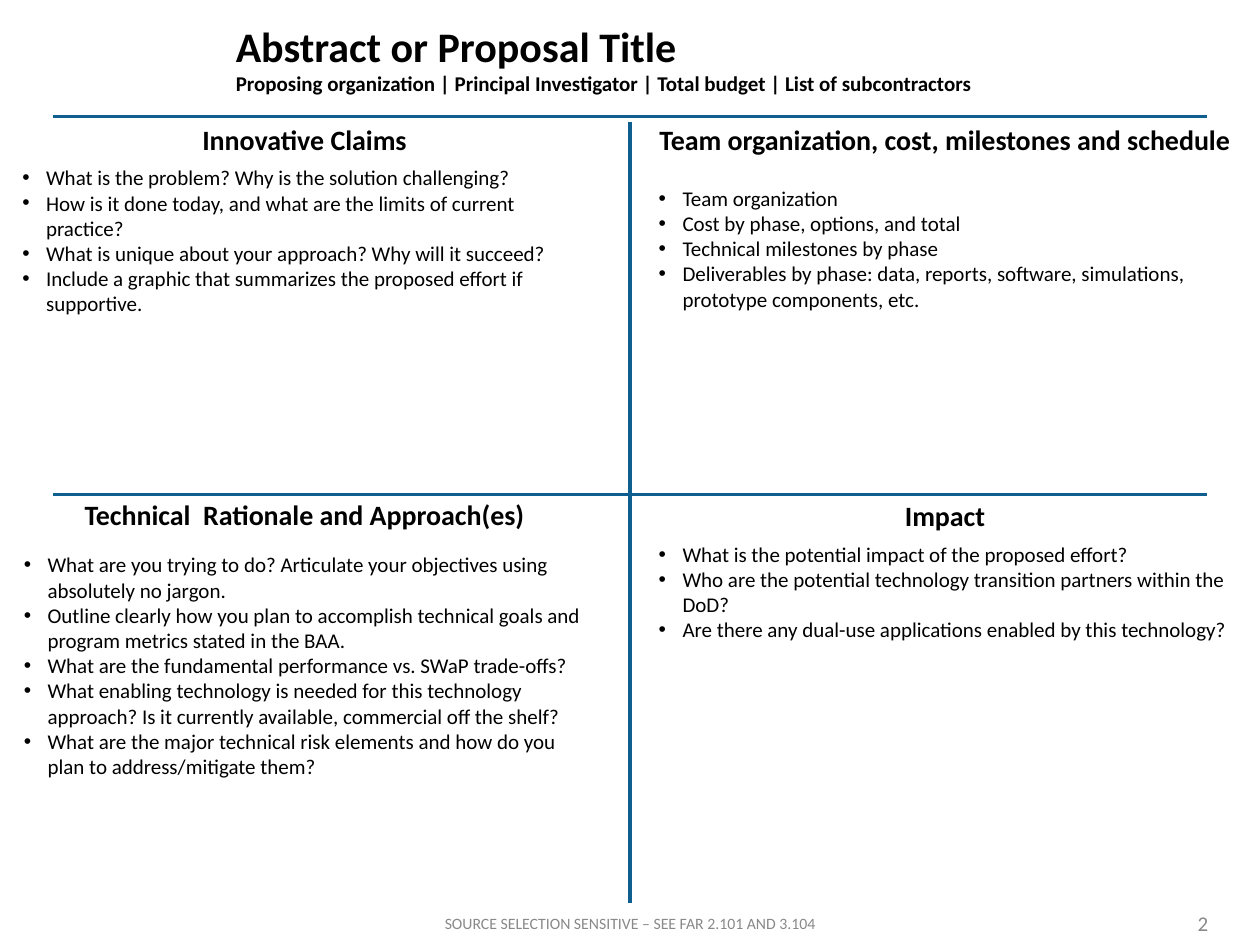
from lxml.etree import SubElement
from pptx import Presentation
from pptx.dml.color import RGBColor
from pptx.enum.shapes import MSO_CONNECTOR
from pptx.enum.text import MSO_ANCHOR as ANCHOR, PP_ALIGN as ALIGN
from pptx.oxml.ns import qn
from pptx.util import Cm, Pt

FONT = "Calibri"
BLACK, GRAY, BLUE = "000000", "898989", "0F5E90"

QUADRANTS = [
    ("Innovative Claims", (0, 2.34, 12.28), 9.32, (0.2, 0.86, 3.81), [
        "What is the problem? Why is the solution challenging?",
        "How is it done today, and what are the limits of current practice?",
        "What is unique about your approach? Why will it succeed?",
        "Include a graphic that summarizes the proposed effort if supportive.",
    ]),
    ("Team organization, cost, milestones and schedule",
     (12.7, 2.34, 12.7), 14.83, (0.33, 1.27, 3.33), [
         "Team organization",
         "Cost by phase, options, and total",
         "Technical milestones by phase",
         "Deliverables by phase: data, reports, software, simulations, "
         "prototype components, etc.",
     ]),
    ("Technical  Rationale and Approach(es)",
     (0, 9.91, 12.28), 11.43, (0.23, 1.09, 4.88), [
         "What are you trying to do? Articulate your objectives using "
         "absolutely no jargon.",
         "Outline clearly how you plan to accomplish technical goals and "
         "program metrics stated in the BAA.",
         "What are the fundamental performance vs. SWaP trade-offs?",
         "What enabling technology is needed for this technology approach? "
         "Is it currently available, commercial off the shelf?",
         "What are the major technical risk elements and how do you plan to "
         "address/mitigate them?",
     ]),
    ("Impact", (12.7, 9.93, 12.7), 12.7, (0.33, 0.86, 2.31), [
        "What is the potential impact of the proposed effort?",
        "Who are the potential technology transition partners within the DoD?",
        "Are there any dual-use applications enabled by this technology?",
    ]),
]


def rgb(color):
    """Turn a hex string into a colour."""
    return RGBColor.from_string(color)


def add_run(p, text, size, color=BLACK, bold=False):
    """Append one formatted run to a paragraph."""
    r = p.add_run()
    r.text = text
    r.font.name, r.font.size, r.font.bold = FONT, Pt(size), bold
    r.font.color.rgb = rgb(color)


def add_box(s, x, y, w, h, anchor=ANCHOR.TOP):
    """Add a wrapping text box and return its text frame."""
    tf = s.shapes.add_textbox(Cm(x), Cm(y), Cm(w), Cm(h)).text_frame
    tf.word_wrap = True
    tf.vertical_anchor = anchor
    return tf


def add_bullet(p, indent=0.48):
    """Give a paragraph a round bullet with a hanging indent."""
    pPr = p._p.get_or_add_pPr()
    pPr.set("marL", str(Cm(indent)))
    pPr.set("indent", str(-Cm(indent)))
    SubElement(pPr, qn("a:buFont")).set("typeface", "Arial")
    SubElement(pPr, qn("a:buChar")).set("char", "•")


def add_line(s, x1, y1, x2, y2):
    """Draw one straight divider without a shadow."""
    line = s.shapes.add_connector(
        MSO_CONNECTOR.STRAIGHT, Cm(x1), Cm(y1), Cm(x2), Cm(y2))
    line.line.color.rgb = rgb(BLUE)
    line.line.width = Pt(1.75)
    SubElement(line._element.spPr, qn("a:effectLst"))


def add_title(s, x, y, w, h):
    """Fill the title placeholder with the title and its details line."""
    sp = s.shapes.title
    sp.left, sp.top, sp.width, sp.height = Cm(x), Cm(y), Cm(w), Cm(h)
    sp.text_frame.vertical_anchor = ANCHOR.MIDDLE
    p = sp.text_frame.paragraphs[0]
    p.alignment = ALIGN.LEFT
    add_run(p, "Abstract or Proposal Title", 24, bold=True)
    p.add_line_break()
    add_run(p, "Proposing organization | Principal Investigator | "
               "Total budget | List of subcontractors", 12, bold=True)


def add_dividers(s, x, y, w, h):
    """Draw the header rule and the cross between the quadrants."""
    middle = x + w / 2
    add_line(s, x, y, x + w, y)
    add_line(s, middle, y + 0.13, middle, y + h)
    add_line(s, x, y + 7.62, x + w, y + 7.62)


def add_quadrant(s, box, heading, heading_width, body, items):
    """Place a centred heading and its bullet list in a quadrant."""
    x, y, w = box
    dx, dy, body_height = body
    tf = add_box(s, x + (w - heading_width) / 2, y, heading_width, 0.94)
    p = tf.paragraphs[0]
    p.alignment = ALIGN.CENTER
    add_run(p, heading, 16, bold=True)
    tf = add_box(s, x + dx, y + dy, 12.07, body_height)
    for i, item in enumerate(items):
        p = tf.add_paragraph() if i else tf.paragraphs[0]
        add_bullet(p)
        add_run(p, item, 12)


def add_footer(s, x, y, w, h):
    """Place the marking and the page number along the bottom."""
    for dx, width, text, size, align in [
        (0, 17.98, "SOURCE SELECTION SENSITIVE – SEE FAR 2.101 AND 3.104",
         9, ALIGN.CENTER),
        (w - 2.11, 2.11, "2", 12, ALIGN.RIGHT),
    ]:
        p = add_box(s, x + dx, y, width, h, ANCHOR.MIDDLE).paragraphs[0]
        p.alignment = align
        add_run(p, text, size, GRAY)


def main():
    """Build the quad chart slide and save it."""
    prs = Presentation()
    prs.slide_width, prs.slide_height = Cm(25.4), Cm(19.05)
    s = prs.slides.add_slide(prs.slide_layouts[5])
    add_title(s, 4.5, 0, 19.84, 2.34)
    add_dividers(s, 1.07, 2.34, 23.26, 15.87)
    for heading, box, heading_width, body, items in QUADRANTS:
        add_quadrant(s, box, heading, heading_width, body, items)
    add_footer(s, 3.71, 18.2, 20.9, 0.83)
    prs.save("out.pptx")


if __name__ == "__main__":
    main()
